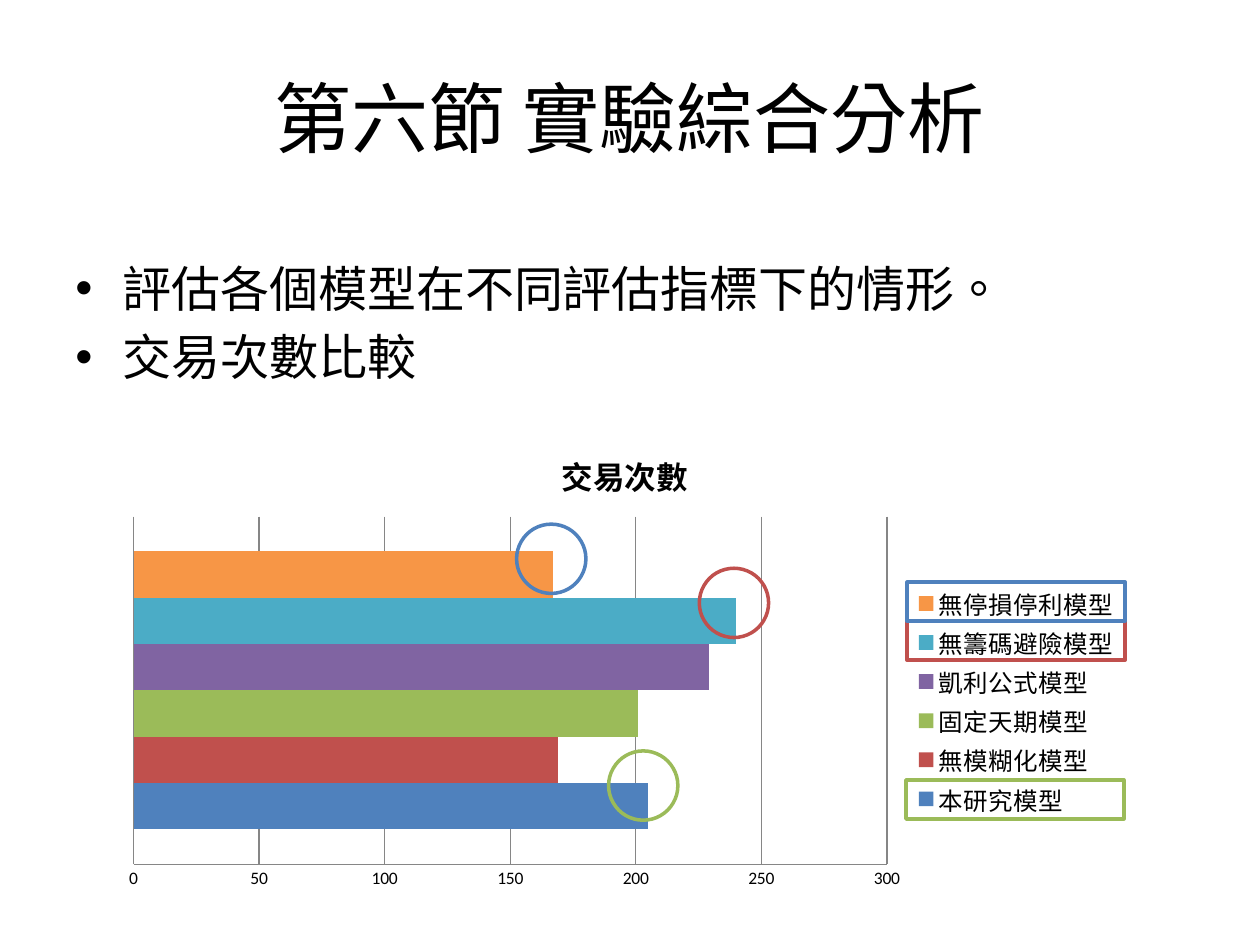
from lxml.etree import SubElement
from pptx import Presentation
from pptx.chart.data import CategoryChartData
from pptx.dml.color import RGBColor
from pptx.enum.chart import XL_CHART_TYPE, XL_LEGEND_POSITION, XL_TICK_LABEL_POSITION, XL_TICK_MARK
from pptx.enum.shapes import MSO_SHAPE
from pptx.enum.text import MSO_ANCHOR, PP_ALIGN
from pptx.oxml import parse_xml
from pptx.oxml.ns import nsdecls, qn
from pptx.util import Inches, Pt

BLACK = RGBColor(0x00, 0x00, 0x00)
GRAY = RGBColor(0x86, 0x86, 0x86)
BLUE = RGBColor(0x4F, 0x81, 0xBD)
RED = RGBColor(0xC0, 0x50, 0x4D)
GREEN = RGBColor(0x9B, 0xBB, 0x59)
PURPLE = RGBColor(0x80, 0x64, 0xA2)
TEAL = RGBColor(0x4B, 0xAC, 0xC6)
ORANGE = RGBColor(0xF7, 0x96, 0x46)

TEXT_FONT = "Noto Sans CJK SC"
CHART_FONT = "Calibri"
COLUMNS, ROWS = 100, 75
WIDTH, HEIGHT = Inches(10), Inches(7.5)

TRADES = [
    ("本研究模型", 205, BLUE),
    ("無模糊化模型", 169, RED),
    ("固定天期模型", 201, GREEN),
    ("凱利公式模型", 229, PURPLE),
    ("無籌碼避險模型", 240, TEAL),
    ("無停損停利模型", 167, ORANGE),
]
PLOT_BOX = (2, 7.1, 59.8, 27.6)
LEGEND_BOX = (63.4, 12.3, 17.3, 18.9)
RING_SIZE = (5.5, 5.5)
FRAME_SIZE = (17.3, 3.1)
MARKS = [
    (MSO_SHAPE.OVAL, (46.9, 11.2), RING_SIZE, RED),
    (MSO_SHAPE.OVAL, (32.4, 7.7), RING_SIZE, BLUE),
    (MSO_SHAPE.RECTANGLE, (63.4, 15.4), FRAME_SIZE, RED),
    (MSO_SHAPE.RECTANGLE, (63.4, 12.3), FRAME_SIZE, BLUE),
    (MSO_SHAPE.OVAL, (39.7, 25.7), RING_SIZE, GREEN),
    (MSO_SHAPE.RECTANGLE, (63.3, 28), FRAME_SIZE, GREEN),
]


def place(box):
    left, top, width, height = box
    return (int(WIDTH * left / COLUMNS), int(HEIGHT * top / ROWS),
            int(WIDTH * width / COLUMNS), int(HEIGHT * height / ROWS))


def add_text(page, box, lines, size, anchor):
    frame = page.shapes.add_textbox(*place(box)).text_frame
    frame.word_wrap = True
    frame.vertical_anchor = anchor
    frame.text = "\n".join(lines)
    for para in frame.paragraphs:
        for span in para.runs:
            span.font.size = Pt(size)
            span.font.name = TEXT_FONT
            span.font.color.rgb = BLACK
            properties = span.font._element
            properties.set("lang", "zh-TW")
            SubElement(properties, qn("a:ea"), typeface=TEXT_FONT)
    return frame


def add_title(page, box):
    frame = add_text(page, box, ["第六節 實驗綜合分析"], 44, MSO_ANCHOR.MIDDLE)
    frame.paragraphs[0].alignment = PP_ALIGN.CENTER


def add_points(page, box):
    lines = ["評估各個模型在不同評估指標下的情形。", "交易次數比較"]
    indent = Pt(27)
    for para in add_text(page, box, lines, 28, MSO_ANCHOR.TOP).paragraphs:
        para.space_before = Pt(5.6)
        properties = para._p.get_or_add_pPr()
        properties.set("marL", str(indent))
        properties.set("indent", str(-indent))
        SubElement(properties, qn("a:buFont"), typeface="Arial")
        SubElement(properties, qn("a:buChar"), char="•")


def set_layout(part, index, part_box, chart_box, target=""):
    for layout in part.findall(qn("c:layout")):
        part.remove(layout)
    left, top, width, height = part_box
    _, _, chart_width, chart_height = chart_box
    part.insert(index, parse_xml(
        f'<c:layout {nsdecls("c")}><c:manualLayout>{target}'
        '<c:xMode val="edge"/><c:yMode val="edge"/>'
        f'<c:x val="{left / chart_width}"/><c:y val="{top / chart_height}"/>'
        f'<c:w val="{width / chart_width}"/><c:h val="{height / chart_height}"/>'
        '</c:manualLayout></c:layout>'))


def add_trade_chart(page, box):
    data = CategoryChartData()
    data.categories = ["1"]
    for name, count, _ in TRADES:
        data.add_series(name, [count])
    chart = page.shapes.add_chart(XL_CHART_TYPE.BAR_CLUSTERED, *place(box), data).chart
    chart.font.size = Pt(10)
    chart.font.name = CHART_FONT
    chart.font.color.rgb = BLACK

    chart.has_title = True
    chart.chart_title.text_frame.text = "交易次數"
    title_font = chart.chart_title.text_frame.paragraphs[0].runs[0].font
    title_font.size = Pt(18)
    title_font.bold = True
    title_font.color.rgb = BLACK

    chart.has_legend = True
    chart.legend.position = XL_LEGEND_POSITION.RIGHT
    chart.legend.include_in_layout = False
    chart.legend.font.size = Pt(14)

    plot = chart.plots[0]
    plot.vary_by_categories = False
    plot.gap_width = 150
    plot.overlap = 0
    for series, (_, _, color) in zip(plot.series, TRADES):
        series.format.fill.solid()
        series.format.fill.fore_color.rgb = color

    chart.category_axis.visible = False
    axis = chart.value_axis
    axis.minimum_scale, axis.maximum_scale, axis.major_unit = 0, 300, 50
    axis.major_tick_mark = XL_TICK_MARK.NONE
    axis.tick_label_position = XL_TICK_LABEL_POSITION.NEXT_TO_AXIS
    axis.has_major_gridlines = True
    for line in (axis.format.line, axis.major_gridlines.format.line):
        line.color.rgb = GRAY
        line.width = Pt(0.75)
    set_layout(chart._chartSpace.chart.plotArea, 0, PLOT_BOX, box, '<c:layoutTarget val="inner"/>')
    set_layout(chart.legend._element, 1, LEGEND_BOX, box)


def add_marks(page, box):
    for kind, (across, down), size, color in MARKS:
        mark = page.shapes.add_shape(kind, *place((box[0] + across, box[1] + down, *size)))
        mark.shadow.inherit = False
        mark.fill.background()
        mark.line.color.rgb = color
        mark.line.width = Pt(2)


def main():
    deck = Presentation()
    deck.slide_width, deck.slide_height = WIDTH, HEIGHT
    page = deck.slides.add_slide(deck.slide_layouts[6])
    chart_box = (8.6, 33.9, 82, 37.5)
    add_title(page, (5, 3, 90, 12.5))
    add_points(page, (5, 20, 90, 49.5))
    add_trade_chart(page, chart_box)
    add_marks(page, chart_box)
    deck.save("out.pptx")


if __name__ == "__main__":
    main()
